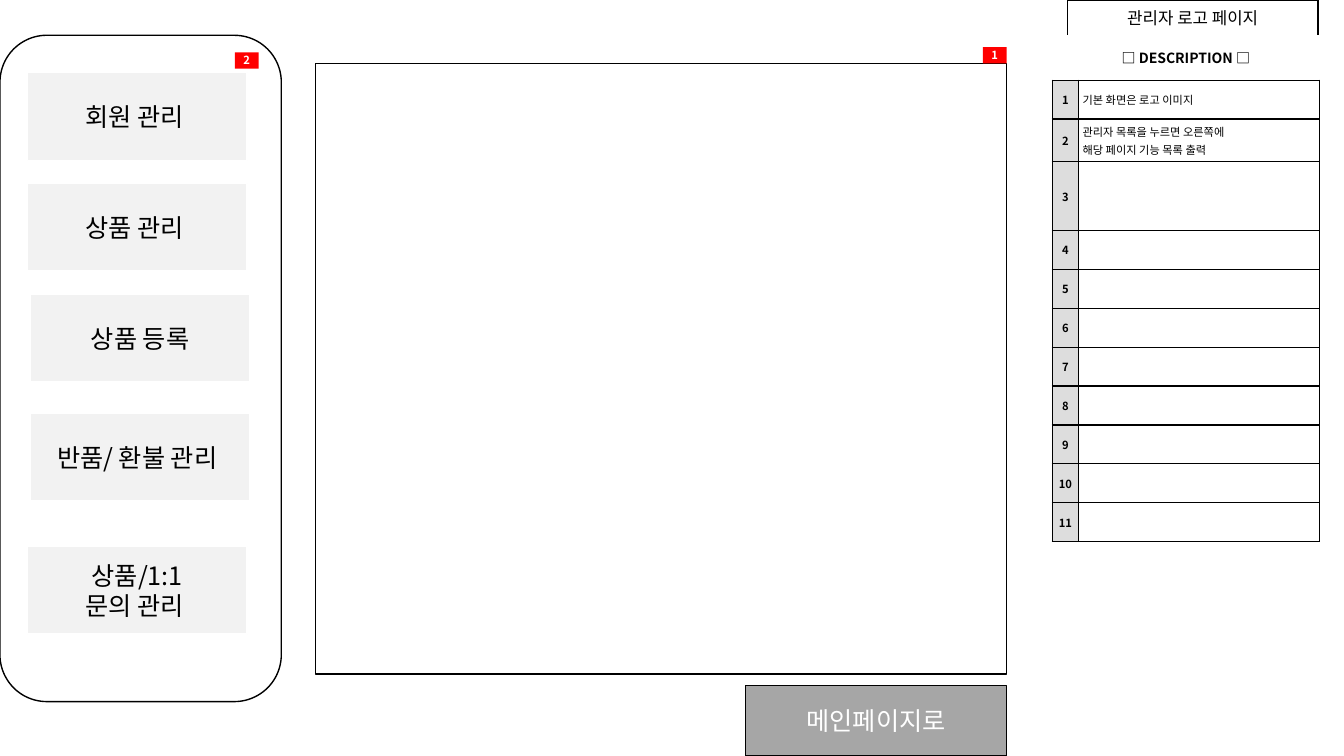
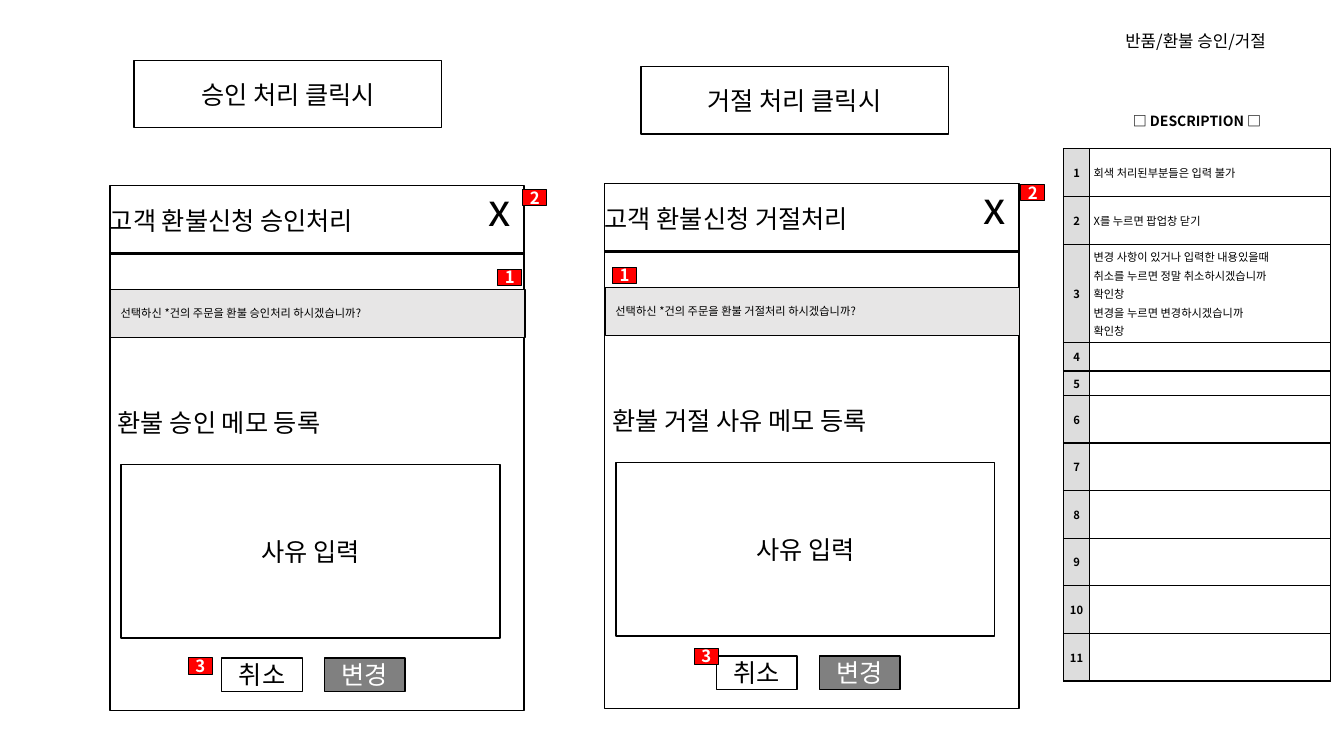
import pptx
import pptx.util
import pptx.dml.color
import pptx.enum.shapes
import pptx.enum.text
import pptx.oxml.ns
import lxml.etree

Cm = pptx.util.Cm
Pt = pptx.util.Pt
SHAPE = pptx.enum.shapes.MSO_SHAPE
ALIGN = pptx.enum.text.PP_ALIGN
qn = pptx.oxml.ns.qn

FONT = "Noto Sans CJK KR"
BLACK, WHITE, RED = "000000", "FFFFFF", "FF0000"
MENU, NOTICE, NUMBER = "F2F2F2", "E7E6E6", "DDDDDD"
HOME, CHANGE = "A6A6A6", "808080"
BADGE_SIZE = (0.6, 0.41)
COLUMNS = (0.66, 6.07)


def colour(value):
    return pptx.dml.color.RGBColor.from_string(value)


def lengths(box):
    return [Cm(value) for value in box]


def paint(fill, value):
    if value:
        fill.solid()
        fill.fore_color.rgb = colour(value)
    else:
        fill.background()


def write(frame, lines, size, ink=BLACK, bold=False, align=ALIGN.CENTER, before=0):
    for index, line in enumerate(lines):
        para = frame.paragraphs[0] if index == 0 else frame.add_paragraph()
        para.alignment = align
        para.space_before = Pt(before)
        span = para.add_run()
        span.text = line
        span.font.size = Pt(size)
        span.font.bold = bold
        span.font.name = FONT
        span.font.color.rgb = colour(ink)
        lxml.etree.SubElement(span._r.get_or_add_rPr(), qn("a:ea"), typeface=FONT)


def set_frame(frame, wrap=True):
    frame.word_wrap = wrap
    frame.auto_size = pptx.enum.text.MSO_AUTO_SIZE.NONE
    frame.vertical_anchor = pptx.enum.text.MSO_ANCHOR.MIDDLE


def add_box(page, box, lines=(), fill=None, edge=BLACK, weight=1, kind=SHAPE.RECTANGLE,
            size=18, ink=BLACK, bold=False, align=ALIGN.CENTER, wrap=True):
    shape = page.shapes.add_shape(kind, *lengths(box))
    shape.shadow.inherit = False
    paint(shape.fill, fill)
    paint(shape.line.fill, edge)
    if edge:
        shape.line.width = Pt(weight)
    set_frame(shape.text_frame, wrap)
    write(shape.text_frame, lines, size, ink, bold, align)
    return shape


def add_label(page, box, text, size=18, align=ALIGN.LEFT):
    label = page.shapes.add_textbox(*lengths(box))
    set_frame(label.text_frame)
    write(label.text_frame, [text], size, align=align)


def add_badge(page, left, top, number, size, edge=None):
    add_box(page, (left, top, *BADGE_SIZE), [str(number)], RED, edge, 0.75,
            size=size, ink=WHITE, bold=True, wrap=False)


def add_rule(page, left, top, width):
    rule = page.shapes.add_connector(pptx.enum.shapes.MSO_CONNECTOR.STRAIGHT,
                                     *lengths((left, top, left + width, top)))
    rule.line.color.rgb = colour(BLACK)
    rule.line.width = Pt(2.25)
    lxml.etree.SubElement(rule._element.spPr, qn("a:effectLst"))


def add_page(deck, title, box, edge=None):
    page = deck.slides.add_slide(deck.slide_layouts[5])
    heading = page.shapes.title
    heading.left, heading.top, heading.width, heading.height = lengths(box)
    paint(heading.line.fill, edge)
    if edge:
        heading.line.width = Pt(1)
    set_frame(heading.text_frame)
    write(heading.text_frame, [title], 12)
    return page


def style_cell(cell, fill, sides):
    properties = cell._tc.get_or_add_tcPr()
    for side in ("lnL", "lnR", "lnT", "lnB"):
        border = lxml.etree.SubElement(properties, qn("a:" + side), w=str(Pt(1)))
        if side in sides:
            solid = lxml.etree.SubElement(border, qn("a:solidFill"))
            lxml.etree.SubElement(solid, qn("a:srgbClr"), val=BLACK)
        else:
            lxml.etree.SubElement(border, qn("a:noFill"))
    paint(cell.fill, fill)
    cell.margin_left = cell.margin_right = cell.margin_top = cell.margin_bottom = Cm(0.1)
    cell.vertical_anchor = pptx.enum.text.MSO_ANCHOR.MIDDLE


def add_description(page, left, top, heights, notes):
    box = (left, top, sum(COLUMNS), sum(heights))
    table = page.shapes.add_table(len(heights), len(COLUMNS), *lengths(box)).table
    table.first_row = table.horz_banding = False
    for column, width in zip(table.columns, COLUMNS):
        column.width = Cm(width)
    for row, height in zip(table.rows, heights):
        row.height = Cm(height)
    header = table.cell(0, 0)
    header.merge(table.cell(0, 1))
    for cell in table.rows[0].cells:
        style_cell(cell, WHITE, ("lnB",))
    write(header.text_frame, ["□ DESCRIPTION □"], 10, bold=True, before=2)
    for number in range(1, len(heights)):
        index, note = table.rows[number].cells
        for cell, fill in ((index, NUMBER), (note, WHITE)):
            style_cell(cell, fill, ("lnL", "lnR", "lnT", "lnB"))
        write(index.text_frame, [str(number)], 8, bold=True, before=1.6)
        if number <= len(notes):
            write(note.text_frame, notes[number - 1], 8, align=ALIGN.LEFT, before=1.6)
        else:
            lxml.etree.SubElement(note.text_frame.paragraphs[0]._p,
                                  qn("a:endParaRPr"), sz="800")


def add_menu(page, box):
    left, top = box[:2]
    add_box(page, box, fill=WHITE, kind=SHAPE.ROUNDED_RECTANGLE)
    items = (
        (0.69, 0.94, ["회원 관리 "]),
        (0.69, 3.73, ["상품 관리 "]),
        (0.76, 6.53, ["상품 등록"]),
        (0.76, 9.52, ["반품/ 환불 관리 "]),
        (0.69, 12.88, ["상품/1:1", "문의 관리 "]),
    )
    for across, down, lines in items:
        add_box(page, (left + across, top + down, 5.54, 2.21), lines, MENU, WHITE)
    add_badge(page, left + 5.92, top + 0.43, 2, 8)


def add_canvas(page, box):
    left, top, width, height = box
    add_box(page, box)
    add_badge(page, left + width - BADGE_SIZE[0], top - BADGE_SIZE[1], 1, 8)
    add_box(page, (left + width - 6.58, top + height + 0.28, 6.58, 1.78),
            ["메인페이지로"], HOME, ink=WHITE)


def add_popup(page, box, action, memo, badges):
    left, top, width, height = box
    add_box(page, box)
    add_label(page, (left - 0.25, top + 0.05, width, 1.65), f"고객 환불신청 {action}처리")
    add_label(page, (left + 9.19, top, 1.27, 1.17), "x", 32, ALIGN.CENTER)
    add_rule(page, left, top + 1.71, width)
    add_box(page, (left + 0.02, top + 2.62, width, 1.22),
            [f"선택하신 *건의 주문을 환불 {action}처리 하시겠습니까?"],
            NOTICE, size=8, align=ALIGN.LEFT)
    add_label(page, (left - 0.05, top + 5.16, width, 1.63), f"환불 {memo} 메모 등록")
    add_box(page, (left + 0.28, top + 7.04, 9.55, 4.37), ["사유 입력"], WHITE)
    buttons = ((2.82, "취소", WHITE, BLACK), (5.41, "변경", CHANGE, WHITE))
    for across, text, fill, ink in buttons:
        add_box(page, (left + across, top + 11.91, 2.03, 0.84), [text], fill, ink=ink)
    for number, (across, down) in enumerate(badges, 1):
        add_badge(page, left + across, top + down, number, 12, BLACK)


def build_logo_page(deck):
    page = add_page(deck, "관리자 로고 페이지", (26.9, 0, 6.32, 0.89), BLACK)
    add_menu(page, (0, 0.89, 7.09, 16.79))
    add_canvas(page, (7.95, 1.6, 17.42, 15.39))
    add_description(page, 26.52, 0.89, [1.13, 0.98, 0.98, 1.73] + [0.98] * 8, (
        ["기본 화면은 로고 이미지"],
        ["관리자 목록을 누르면 오른쪽에", "해당 페이지 기능 목록 출력"],
    ))


def build_refund_page(deck):
    page = add_page(deck, "반품/환불 승인/거절", (26.97, 0.51, 6.32, 1.02))
    add_description(page, 26.8, 2.34, [1.4, 1.22, 1.2, 1.12, 0.71, 0.61] + [1.2] * 6, (
        ["회색 처리된부분들은 입력 불가"],
        ["X를 누르면 팝업창 닫기"],
        ["변경 사항이 있거나 입력한 내용있을때", "취소를 누르면 정말 취소하시겠습니까",
         "확인창", "변경을 누르면 변경하시겠습니까", "확인창 "],
    ))
    add_box(page, (3.38, 1.52, 7.75, 1.7), ["승인 처리 클릭시"], WHITE)
    add_box(page, (16.15, 1.68, 7.75, 1.7), ["거절 처리 클릭시"], WHITE)
    add_popup(page, (2.77, 4.67, 10.44, 13.23), "승인", "승인",
              ((9.78, 2.11), (10.41, 0.1), (1.98, 11.91)))
    add_popup(page, (15.24, 4.62, 10.44, 13.23), "거절", "거절 사유",
              ((0.2, 2.11), (10.49, 0.03), (2.26, 11.71)))


deck = pptx.Presentation()
deck.slide_width, deck.slide_height = Cm(33.87), Cm(19.05)
build_logo_page(deck)
build_refund_page(deck)
deck.save("out.pptx")
